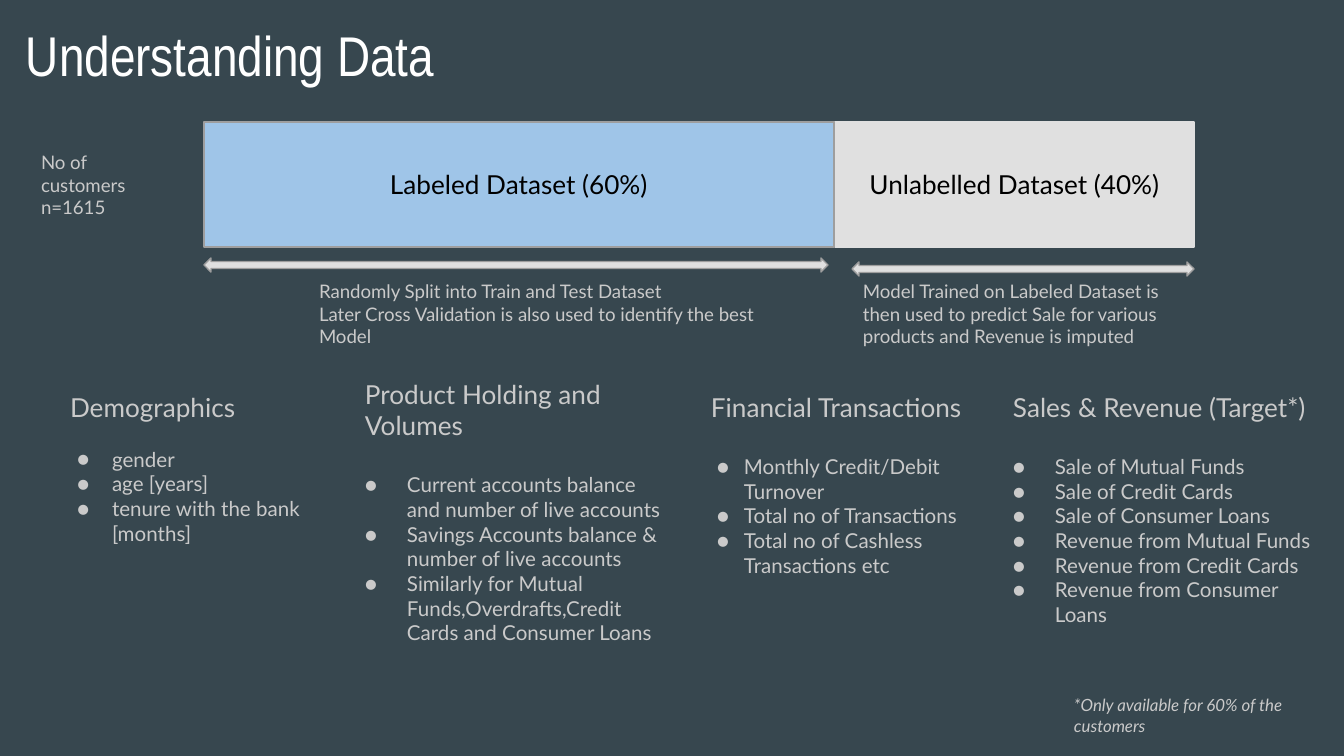
"""Build the Understanding Data slide."""
from lxml.etree import SubElement
from pptx import Presentation
from pptx.dml.color import RGBColor
from pptx.enum.shapes import MSO_SHAPE
from pptx.enum.text import MSO_ANCHOR, PP_ALIGN
from pptx.oxml.ns import qn
from pptx.util import Pt

PX = 9144000 / 1344
SLATE = RGBColor(0x37, 0x47, 0x4F)
BLUE = RGBColor(0x9F, 0xC5, 0xE8)
PALE = RGBColor(0xE0, 0xE0, 0xE0)
EDGE = RGBColor(0x9E, 0x9E, 0x9E)
GREY = RGBColor(0xCA, 0xCA, 0xCA)
BLACK = RGBColor(0, 0, 0)
WHITE = RGBColor(255, 255, 255)

deck = Presentation()
deck.slide_width, deck.slide_height = round(1344 * PX), round(756 * PX)
slide = deck.slides.add_slide(deck.slide_layouts[6])
slide.background.fill.solid()
slide.background.fill.fore_color.rgb = SLATE


def write(box, lines, size, color=GREY, font="Lato"):
    frame = box.text_frame
    frame.word_wrap = True
    frame.margin_left = frame.margin_right = round(13 * PX)
    frame.margin_top = frame.margin_bottom = round(13 * PX)
    frame.text = "\n".join(lines)
    for para in frame.paragraphs:
        for run in para.runs:
            run.font.size = Pt(size)
            run.font.name = font
            run.font.color.rgb = color
    return frame


def draw(kind, area, fill, edge):
    shape = slide.shapes.add_shape(kind, *[round(n * PX) for n in area])
    shape.shadow.inherit = False
    shape.fill.solid()
    shape.fill.fore_color.rgb = fill
    shape.line.color.rgb = edge
    shape.line.width = Pt(0.75)
    return shape


bars = [
    ("Unlabelled Dataset (40%)", (835, 122, 359, 125), PALE, PALE),
    ("Labeled Dataset (60%)", (204, 122, 630, 125), BLUE, EDGE),
]
for label, area, fill, edge in bars:
    frame = write(draw(MSO_SHAPE.RECTANGLE, area, fill, edge), [label], 14, BLACK)
    frame.vertical_anchor = MSO_ANCHOR.MIDDLE
    frame.paragraphs[0].alignment = PP_ALIGN.CENTER

for area in [(204, 258, 624, 14), (852, 262, 342, 14)]:
    draw(MSO_SHAPE.LEFT_RIGHT_ARROW, area, PALE, EDGE)

notes = [
    ((13, 8, 1253, 85), ["Understanding Data"], 30, WHITE, "Arial Narrow"),
    ((28, 138, 148, 95), ["No of customers n=1615"], 10, GREY, "Lato"),
    ((306, 267, 497, 94), [
        "Randomly Split into Train and Test Dataset",
        "Later Cross Validation is also used to identify the best Model",
    ], 10, GREY, "Lato"),
    ((850, 267, 329, 94), [
        "Model Trained on Labeled Dataset is then used to predict Sale "
        "for various products and Revenue is imputed",
    ], 10, GREY, "Lato"),
    ((1061, 682, 274, 66), ["*Only available for 60% of the customers"], 9, GREY, "Lato"),
]
for area, lines, size, color, font in notes:
    box = slide.shapes.add_textbox(*[round(n * PX) for n in area])
    frame = write(box, lines, size, color, font)
frame.paragraphs[0].runs[0].font.italic = True

groups = [
    ((57, 378, 277, 367), 13, 42, 35, "Demographics", [
        "gender", "age [years]", "tenure with the bank [months]",
    ]),
    ((352, 365, 329, 367), 17, 42, 44, "Product Holding and Volumes", [
        "Current accounts balance and number of live accounts",
        "Savings Accounts balance & number of live accounts",
        "Similarly for Mutual Funds,Overdrafts,Credit Cards and Consumer Loans",
    ]),
    ((698, 378, 329, 367), 17, 33, 27, "Financial Transactions", [
        "Monthly Credit/Debit Turnover", "Total no of Transactions",
        "Total no of Cashless Transactions etc",
    ]),
    ((1000, 378, 329, 289), 17, 42, 44, "Sales & Revenue (Target*)", [
        f"{kind} {item}" for kind in ("Sale of", "Revenue from")
        for item in ("Mutual Funds", "Credit Cards", "Consumer Loans")
    ]),
]
for area, gap, left, hang, head, items in groups:
    box = slide.shapes.add_textbox(*[round(n * PX) for n in area])
    first, *rest = write(box, [head, *items], 11).paragraphs
    first.runs[0].font.size = Pt(14)
    first.space_after = Pt(gap)
    for para in rest:
        props = para._p.get_or_add_pPr()
        props.set("marL", str(round(left * PX)))
        props.set("indent", str(round(-hang * PX)))
        tint = SubElement(props, qn("a:buClr"))
        SubElement(tint, qn("a:srgbClr")).set("val", str(GREY))
        SubElement(props, qn("a:buFont")).set("typeface", "Lato")
        SubElement(props, qn("a:buChar")).set("char", "●")

deck.save("out.pptx")
